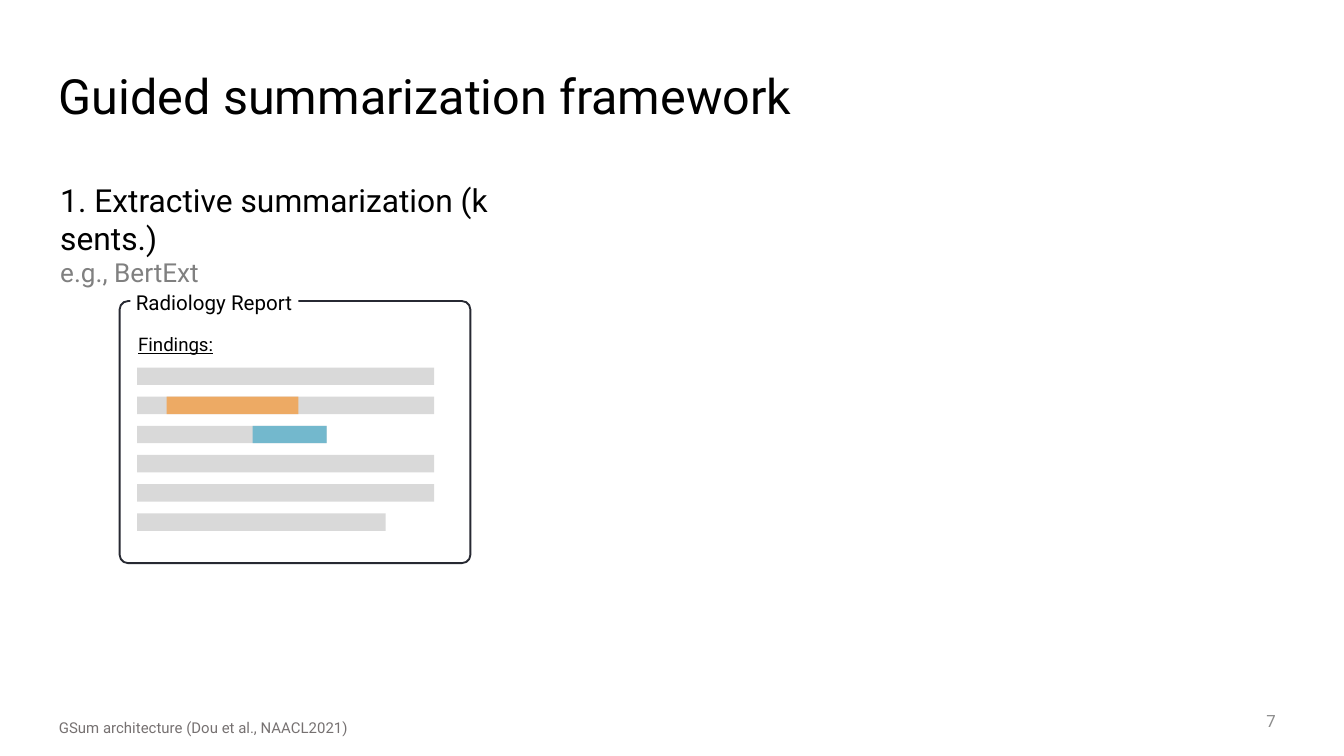
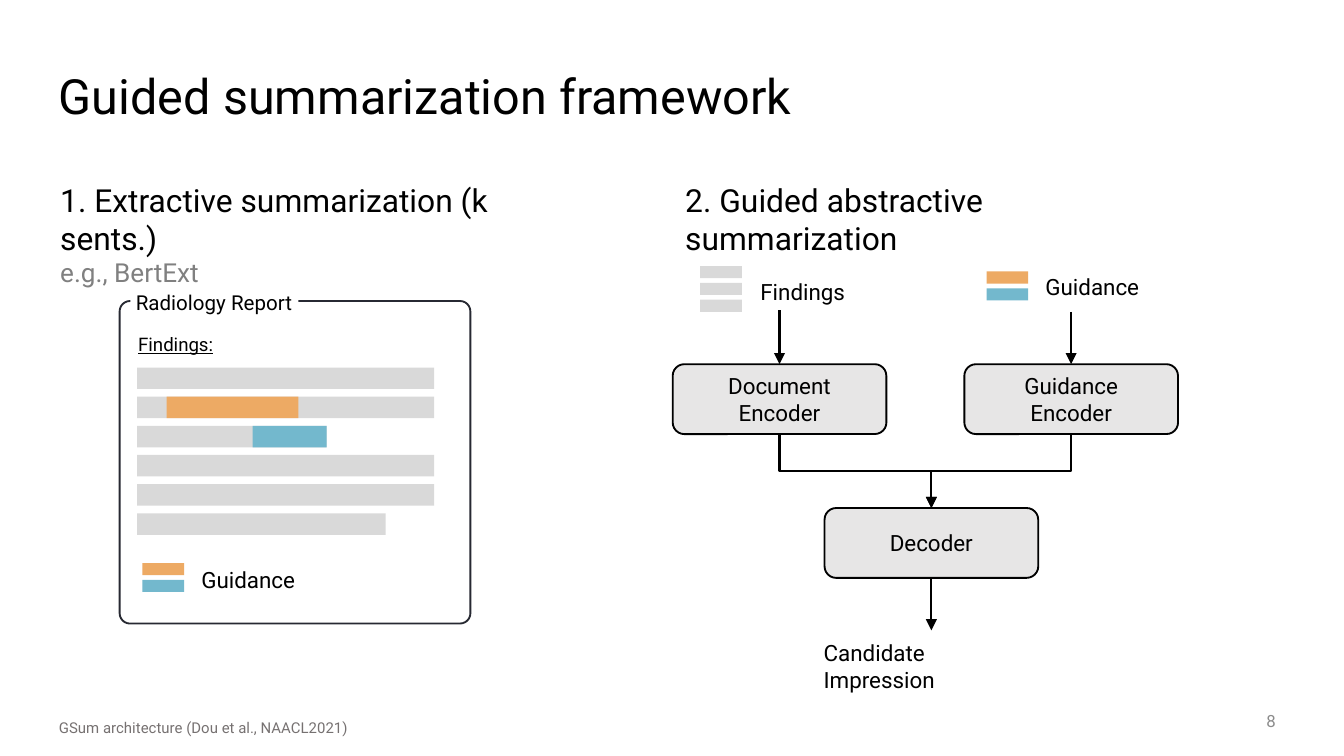
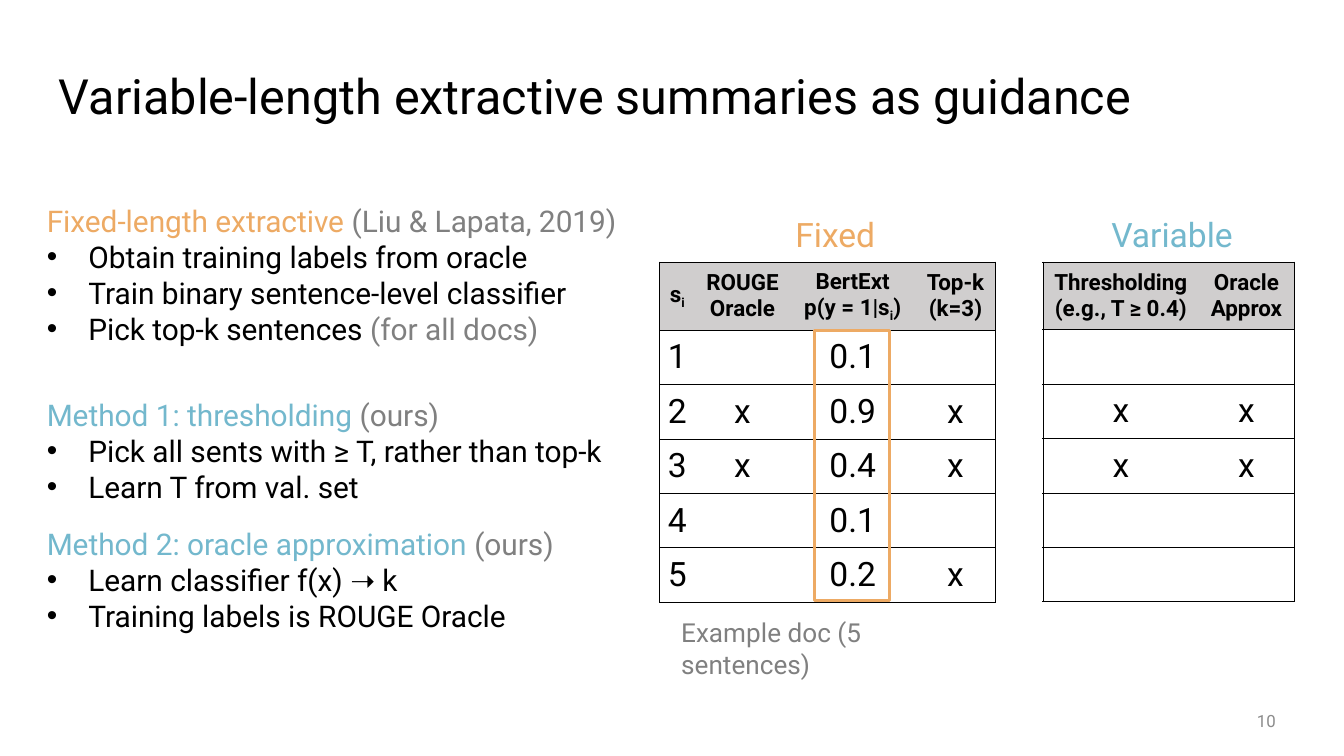
from pptx import Presentation
from pptx.dml.color import RGBColor as Rgb
from pptx.enum.shapes import MSO_CONNECTOR as Link, MSO_SHAPE as Kind
from pptx.enum.text import MSO_ANCHOR as Hold, PP_ALIGN as Side
from pptx.oxml.ns import qn
from pptx.util import Inches, Pt
from lxml.etree import SubElement as Sub

FONT = "Roboto"
BLACK = Rgb(0, 0, 0)
WHITE = Rgb(255, 255, 255)
INK = Rgb(0x27, 0x29, 0x32)
GRAY = Rgb(0x80, 0x80, 0x80)
NOTE = Rgb(0x76, 0x71, 0x71)
NUM = Rgb(0x8C, 0x8C, 0x8C)
BAR = Rgb(0xD9, 0xD9, 0xD9)
NODE = Rgb(0xE7, 0xE6, 0xE6)
HEAD = Rgb(0xD0, 0xCE, 0xCE)
BLUE = Rgb(0x73, 0xB8, 0xCD)
GOLD = Rgb(0xED, 0xAA, 0x64)

COLS, ROWS = 100, 56.25
UNIT = Inches(10) // COLS


def box(page, at, kind=None, fill=None, line=None, width=1, bend=None):
    spot = [round(n * UNIT) for n in at]
    if kind is None:
        return page.shapes.add_textbox(*spot)
    shape = page.shapes.add_shape(kind, *spot)
    shape.shadow.inherit = False
    if bend is not None:
        shape.adjustments[0] = bend
    if fill is None:
        shape.fill.background()
    else:
        shape.fill.solid()
        shape.fill.fore_color.rgb = fill
    if line is None:
        shape.line.fill.background()
    else:
        shape.line.color.rgb = line
        shape.line.width = Pt(width)
    return shape


def write(frame, lines, size=12, color=BLACK, bold=False, under=False,
          side=Side.LEFT, hold=Hold.TOP, pad=(1, 0.5, 1, 0.5), lead=None, dots=False):
    frame.word_wrap = True
    frame.vertical_anchor = hold
    (frame.margin_left, frame.margin_top,
     frame.margin_right, frame.margin_bottom) = [round(n * UNIT) for n in pad]
    for i, runs in enumerate([lines] if isinstance(lines, str) else lines):
        para = frame.add_paragraph() if i else frame.paragraphs[0]
        para.alignment = side
        if lead:
            para.line_spacing = lead
        if dots and i:
            prop = para._p.get_or_add_pPr()
            prop.set("marL", str(round(3.1 * UNIT)))
            prop.set("indent", str(round(-3.1 * UNIT)))
            Sub(prop, qn("a:buFont"), typeface="Arial")
            Sub(prop, qn("a:buChar"), char="•")
        for part in [runs] if isinstance(runs, str) else runs:
            text, form = (part, {}) if isinstance(part, str) else part
            run = para.add_run()
            run.text = text
            run.font.name = FONT
            run.font.size = Pt(form.get("size", size))
            run.font.color.rgb = form.get("color", color)
            run.font.bold = bold
            run.font.underline = under
            if form.get("sub"):
                run._r.get_or_add_rPr().set("baseline", "-25000")


deck = Presentation()
deck.slide_width, deck.slide_height = COLS * UNIT, round(ROWS * UNIT)

GUIDED = "Guided summarization framework"
pages = []
for num, title in [("7", GUIDED), ("8", GUIDED),
                   ("10", "Variable-length extractive summaries as guidance")]:
    page = deck.slides.add_slide(deck.slide_layouts[6])
    write(box(page, (3.4, 4.9, 92.5, 4.5)).text_frame, title, size=26,
          lead=0.9, pad=(1, 0.5, 1, 0))
    write(box(page, (73.4, 52.1, 22.5, 3)).text_frame, num, size=9, color=NUM,
          side=Side.RIGHT, hold=Hold.MIDDLE)
    pages.append(page)
first, second, third = pages

LEFT, WIDE = 10.2, 22.1
for page, tall, thick in [(first, 19.5, 1.3), (second, 24, 1.6)]:
    write(box(page, (3.4, 53, 62, 2.1)).text_frame,
          "GSum architecture (Dou et al., NAACL2021)", size=8, color=NOTE)
    write(box(page, (3.5, 12.95, 39.7, 6.2)).text_frame,
          ["1. Extractive summarization (k sents.)",
           [("e.g., BertExt", dict(size=14, color=GRAY))]], size=17)
    box(page, (8.9, 22.4, 26.1, tall), Kind.ROUNDED_RECTANGLE, line=INK, bend=0.032)
    label = box(page, (9.7, 21.6, 12.5, 1.9), Kind.RECTANGLE, fill=WHITE)
    write(label.text_frame, "Radiology Report", size=11, pad=(0.4, 0, 0.4, 0))
    write(box(page, (9.3, 24.3, 8.5, 2.7)).text_frame, "Findings:", size=10, under=True)
    for row, x, wide, fill in [(0, LEFT, WIDE, BAR), (1, LEFT, WIDE, BAR),
                               (2, LEFT, 14.1, BAR), (3, LEFT, WIDE, BAR),
                               (4, LEFT, WIDE, BAR), (5, LEFT, 18.5, BAR),
                               (2, 18.8, 5.5, BLUE), (1, 12.4, 9.8, GOLD)]:
        box(page, (x, 27.35 + 2.17 * row, wide, thick), Kind.RECTANGLE, fill=fill)

write(box(second, (50, 12.95, 40.1, 3.9)).text_frame,
      "2. Guided abstractive summarization", size=17)
for x, y, fills in [(52.1, 19.8, [BAR] * 3), (73.4, 20.2, [GOLD, BLUE]),
                    (10.6, 41.9, [GOLD, BLUE])]:
    for i, fill in enumerate(fills):
        box(second, (x, y + 1.25 * i, 3.1, 0.9), Kind.RECTANGLE, fill=fill)
for text, at in [("Findings", (55.6, 20.2, 8.3, 3)), ("Guidance", (76.8, 19.8, 9.1, 3)),
                 ("Guidance", (14, 41.6, 16.7, 3)),
                 ("Candidate Impression", (60.3, 47.1, 17.5, 5))]:
    write(box(second, at).text_frame, text)

NODEW, NODEH = 15.9, 5.2
DOC, GUIDE, DEC = 58, 79.7, 69.3
TOP, LOW = 27.1, 37.8
for text, mid, y in [("Document Encoder", DOC, TOP), ("Guidance Encoder", GUIDE, TOP),
                     ("Decoder", DEC, LOW)]:
    node = box(second, (mid - NODEW / 2, y, NODEW, NODEH), Kind.ROUNDED_RECTANGLE,
               fill=NODE, line=BLACK)
    write(node.text_frame, text, side=Side.CENTER, hold=Hold.MIDDLE)

for x, y, endx, endy in [(DOC, 23.1, DOC, TOP), (GUIDE, 23.2, GUIDE, TOP),
                         (DOC, TOP + NODEH, DEC, LOW), (GUIDE, TOP + NODEH, DEC, LOW),
                         (DEC, LOW + NODEH, DEC, 46.9)]:
    if x == endx:
        kind, ends = Link.STRAIGHT, (x, y, endx, endy)
    else:
        kind, turn = Link.ELBOW, 1 if endx < x else -1
        midx, midy = (x + endx) / 2, (y + endy) / 2
        halfw, halfh = turn * (endy - y) / 2, abs(endx - x) / 2
        ends = (midx - halfw, midy - halfh, midx + halfw, midy + halfh)
    link = second.shapes.add_connector(kind, *[round(n * UNIT) for n in ends])
    link.line.color.rgb = BLACK
    link.line.width = Pt(1.2)
    prop = link._element.spPr
    Sub(prop.find(qn("a:ln")), qn("a:tailEnd"), type="triangle")
    Sub(prop, qn("a:effectLst"))
    if kind == Link.ELBOW:
        prop.find(qn("a:xfrm")).set("rot", str(turn * 90 % 360 * 60000))

SUB = ("i", dict(sub=True))
fixed = [[[["s", SUB]], ["ROUGE", "Oracle"], ["BertExt", ["p(y = 1|s", SUB, ")"]],
          ["Top-k", "(k=3)"]],
         ["1", "", "0.1", ""], ["2", "x", "0.9", "x"], ["3", "x", "0.4", "x"],
         ["4", "", "0.1", ""], ["5", "", "0.2", "x"]]
free = [[["Thresholding", "(e.g., T ≥ 0.4)"], ["Oracle", "Approx"]],
        ["", ""], ["x", "x"], ["x", "x"], ["", ""], ["", ""]]
for x, wides, data in [(49.1, [2.6, 7.1, 9.3, 6], fixed), (77.6, [11.6, 7.1], free)]:
    grid = third.shapes.add_table(len(data), len(wides), round(x * UNIT), round(19.5 * UNIT),
                                  round(sum(wides) * UNIT), round(25.3 * UNIT)).table
    for col, wide in zip(grid.columns, wides):
        col.width = round(wide * UNIT)
    for r, texts in enumerate(data):
        grid.rows[r].height = round((4.05 if r else 5.05) * UNIT)
        for c, text in enumerate(texts):
            cell = grid.cell(r, c)
            cell.margin_left = cell.margin_right = round(0.5 * UNIT)
            cell.margin_top = cell.margin_bottom = round(0.4 * UNIT)
            cell.vertical_anchor = Hold.MIDDLE
            if text:
                write(cell.text_frame, text, size=18 if r else 12, bold=r == 0,
                      side=Side.CENTER)
            prop = cell._tc.get_or_add_tcPr()
            for edge, drawn in [("L", c == 0), ("R", c == len(wides) - 1),
                                ("T", True), ("B", True)]:
                rule = Sub(prop, qn("a:ln" + edge), w=str(Pt(0.5)))
                if drawn:
                    Sub(Sub(rule, qn("a:solidFill")), qn("a:srgbClr"), val=str(BLACK))
                else:
                    Sub(rule, qn("a:noFill"))
            if r:
                cell.fill.background()
            else:
                cell.fill.solid()
                cell.fill.fore_color.rgb = HEAD

for text, color, at in [("Fixed", GOLD, (58.2, 15.4, 8.4, 4)),
                        ("Variable", BLUE, (81.7, 15.4, 11.5, 4))]:
    write(box(third, at).text_frame, text, size=18, color=color)
write(box(third, (49.7, 45.4, 24, 5.4)).text_frame, "Example doc (5 sentences)",
      size=14, color=GRAY)
box(third, (60.6, 24.6, 5.6, 20.1), Kind.RECTANGLE, line=GOLD, width=1.5)

for y, color, name, tag, points in [
        (14.6, GOLD, "Fixed-length extractive ", "(Liu & Lapata, 2019)",
         ["Obtain training labels from oracle", "Train binary sentence-level classifier",
          ["Pick top-k sentences ", ("(for all docs)", dict(color=GRAY))]]),
        (29.05, BLUE, "Method 1: thresholding ", "(ours)",
         ["Pick all sents with ≥ T, rather than top-k", "Learn T from val. set"]),
        (38.65, BLUE, "Method 2: oracle approximation ", "(ours)",
         ["Learn classifier f(x) ➝ k", "Training labels is ROUGE Oracle"])]:
    head = [(name, dict(color=color)), (tag, dict(color=GRAY))]
    write(box(third, (2.5, y, 45.3, 2.7 * len(points) + 3.7)).text_frame,
          [head] + points, size=16, dots=True)

deck.save("out.pptx")
